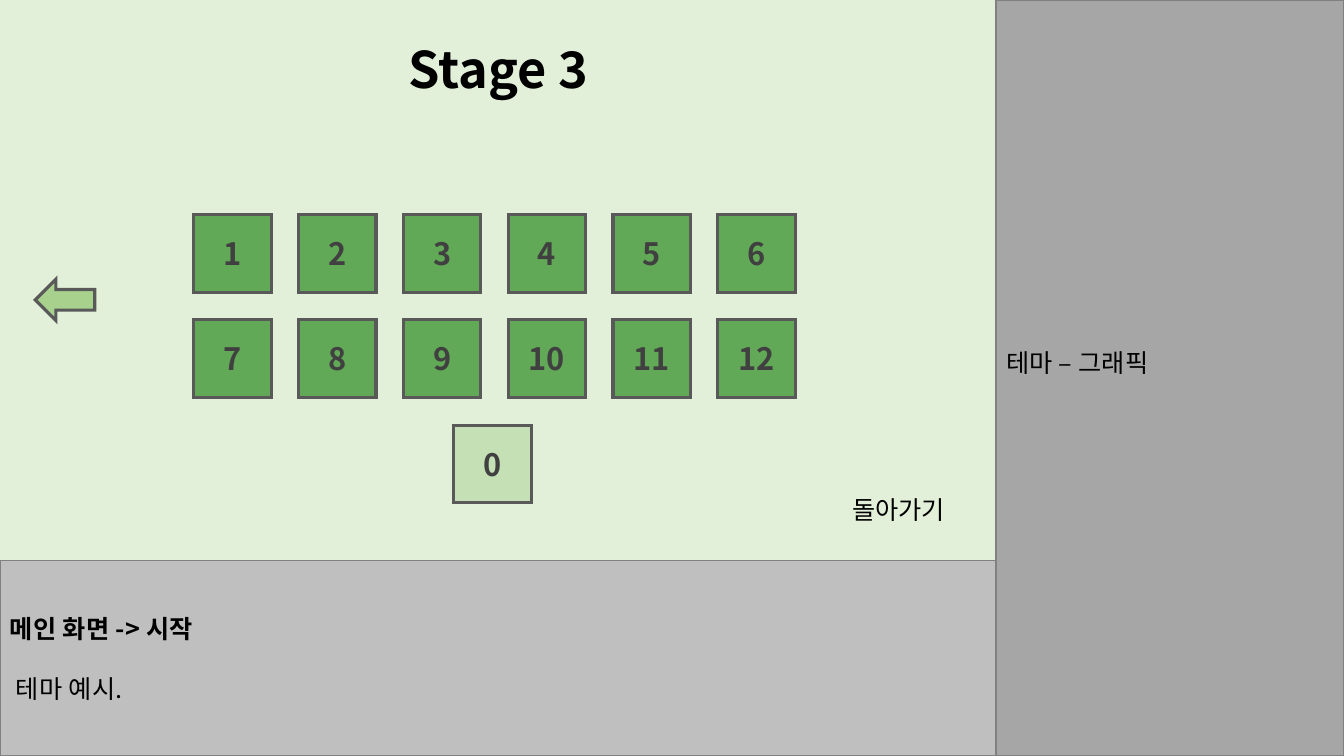
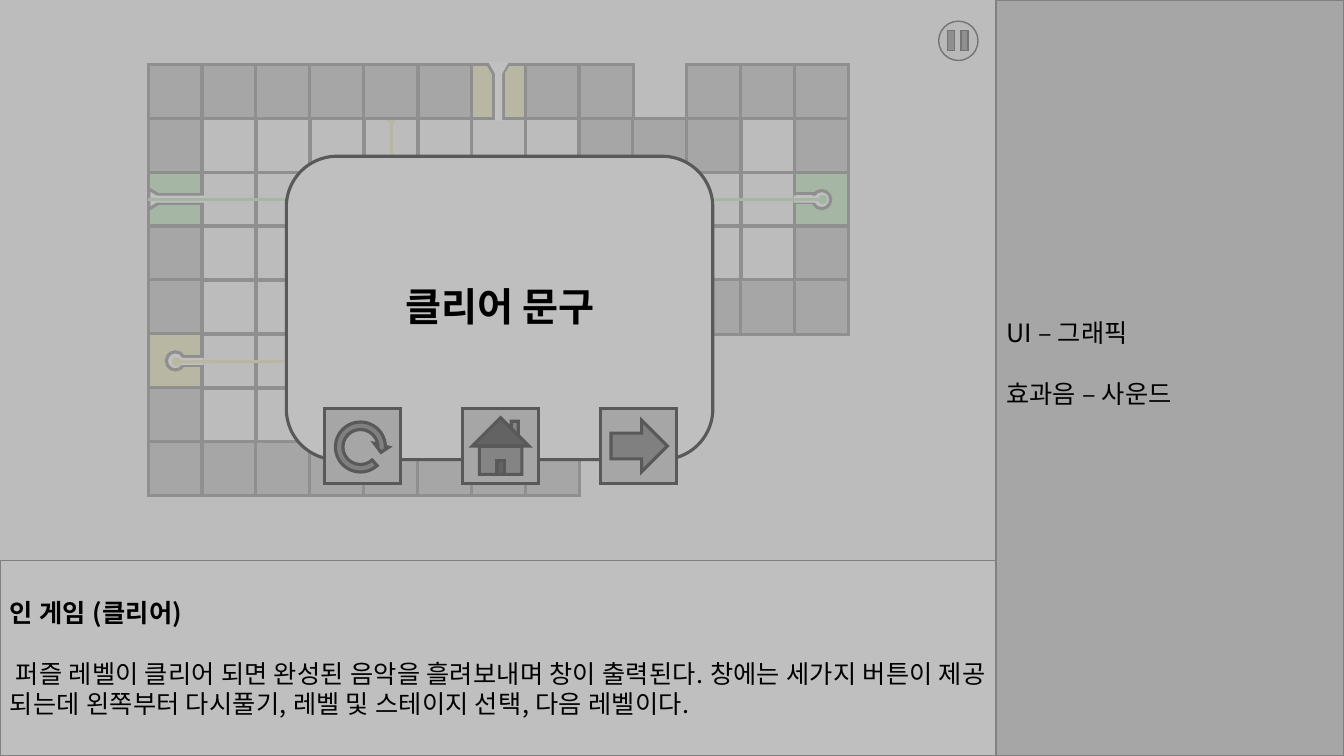
from pptx import Presentation, util as u
from pptx.dml.color import RGBColor
from pptx.enum import shapes as es, text as et
from pptx.oxml import parse_xml
from pptx.oxml.ns import nsdecls, qn
from lxml import etree


class Theme:
    """Colours, type sizes and line widths."""
    font = "Noto Sans CJK KR"
    black, ink, edge, rim = "000000", "404040", "595959", "808080"
    white, pale, mint = "FFFFFF", "F2F2F2", "E2F0D9"
    wall, note, knob = "A6A6A6", "BFBFBF", "E7E6E6"
    leaf, lime, arrow = "61A957", "C5E0B4", "A9D18E"
    gold, green = "E2E29E", "A6DEA2"
    body, num, head, title = 18, 22, 28, 36
    thin, bold = 1, 2.25
    gap, track = 21.5, 0.2


T = Theme
K = es.MSO_SHAPE
MID = et.PP_ALIGN.CENTER

# Content
STAGE = dict(
    title="Stage 3", back="돌아가기", zero="0",
    side=["테마 – 그래픽"],
    notes=["메인 화면 -> 시작", " 테마 예시."])
CLEAR = dict(
    title="클리어 문구",
    side=["UI – 그래픽", "효과음 – 사운드"],
    notes=["인 게임 (클리어)",
           " 퍼즐 레벨이 클리어 되면 완성된 음악을 흘려보내며 창이 출력된다. "
           "창에는 세가지 버튼이 제공 되는데 왼쪽부터 다시풀기, "
           "레벨 및 스테이지 선택, 다음 레벨이다."])

# Puzzle: # wall, o open, y gold end, g green end, c wall over a beam end
MAZE = ["####c#y##.###",
        "#ooooooo###o#",
        "goo.......oog",
        "#oo.......oo#",
        "#oo.......###",
        "yoo..........",
        "#oo..........",
        "########....."]
TILE = {"#": T.wall, "o": None, "y": T.gold, "g": T.green}
CAP = {"c": T.wall}

# Channels cut into the end cells: kind, place, edge, turn
CUTS = [
    (K.RECTANGLE, (1.8, 3.54, 0.21, 0.09), T.edge, 0),
    (K.OVAL, (1.65, 3.49, 0.18, 0.18), T.edge, 0),
    (K.RECTANGLE, (1.8, 3.55, 0.22, 0.07), None, 0),
    (K.RECTANGLE, (4.9, 0.74, 0.09, 0.43), T.edge, 0),
    (K.ISOSCELES_TRIANGLE, (4.84, 0.64, 0.2, 0.17), T.edge, 180),
    (K.RECTANGLE, (4.91, 0.69, 0.07, 0.51), None, 0),
    (K.ISOSCELES_TRIANGLE, (4.84, 0.61, 0.21, 0.18), None, 180),
    (K.RECTANGLE, (7.88, 1.92, 0.21, 0.09), T.edge, 0),
    (K.OVAL, (8.06, 1.89, 0.18, 0.18), T.edge, 0),
    (K.RECTANGLE, (7.87, 1.94, 0.22, 0.07), None, 0),
    (K.ISOSCELES_TRIANGLE, (1.46, 1.89, 0.2, 0.17), T.edge, 90),
    (K.RECTANGLE, (1.57, 1.93, 0.43, 0.09), T.edge, 0),
    (K.RECTANGLE, (1.55, 1.94, 0.49, 0.07), None, 0)]
# Beams: start, end, colour, ends with a dot
BEAMS = [((1.75, 3.59), (3.88, 3.58), T.gold, ("headEnd", "tailEnd")),
         ((3.88, 3.58), (3.88, 1.18), T.gold, ("headEnd", "tailEnd")),
         ((8.16, 1.98), (1.47, 1.98), T.green, ("headEnd",))]

WIDE, HIGH = 13.33, 7.5
SPLIT, FLOOR = 9.88, 5.56
VIEW = (0, 0, SPLIT, FLOOR)


def inch(vals):
    """Turn numbers into lengths."""
    return [u.Inches(v) for v in vals]


def rgb(hue):
    """Turn a hex string into a colour."""
    return RGBColor.from_string(hue)


def draw(on, kind, at, fill=None, line=None, wt=T.bold, rot=0, alpha=None):
    """Add a preset shape with flat fill and sharp-cornered line."""
    s = on.add_shape(kind, *inch(at))
    s.shadow.inherit = False
    s.rotation = rot
    if fill:
        s.fill.solid()
        s.fill.fore_color.rgb = rgb(fill)
    else:
        s.fill.background()
    if alpha:
        clr = s.fill._xPr.find(qn("a:solidFill"))[0]
        etree.SubElement(clr, qn("a:alpha"), val=str(alpha * 1000))
    if line:
        s.line.color.rgb = rgb(line)
        s.line.width = u.Pt(wt)
        etree.SubElement(s.line._get_or_add_ln(), qn("a:miter"), lim="800000")
    else:
        s.line.fill.background()
    return s


def write(s, lines, size=T.body, hue=T.black, bold=False, lead=False,
          align=et.PP_ALIGN.LEFT, track=0):
    """Fill a shape with paragraphs; lead makes the first one bold."""
    tf = s.text_frame
    for i, words in enumerate(lines):
        p = tf.add_paragraph() if i else tf.paragraphs[0]
        p.alignment = align
        if i:
            p.space_before = u.Pt(T.gap)
        r = p.add_run()
        r.text = words
        f = r.font
        f.size, f.name, f.color.rgb = u.Pt(size), T.font, rgb(hue)
        f.bold = bold or (lead and i == 0)
        props = r._r.get_or_add_rPr()
        if track:
            props.set("spc", str(round(track * 100)))
        etree.SubElement(props, qn("a:ea"), typeface=T.font)
    return tf


def label(on, at, words, wrap=False, **fmt):
    """Add a text box that grows with its text."""
    s = on.add_textbox(*inch(at))
    tf = write(s, [words], **fmt)
    tf.word_wrap = wrap
    tf.auto_size = et.MSO_AUTO_SIZE.SHAPE_TO_FIT_TEXT


def beam(on, start, end, hue, dots):
    """Add a straight line with round ends."""
    c = on.add_connector(es.MSO_CONNECTOR.STRAIGHT, *inch(start + end))
    c.line.color.rgb = rgb(hue)
    c.line.width = u.Pt(T.bold)
    for tag in dots:
        etree.SubElement(c.line._get_or_add_ln(), qn("a:" + tag), type="oval")
    c._element.spPr.append(parse_xml("<a:effectLst %s/>" % nsdecls("a")))


def panels(on, data):
    """Add the side panel and the notes panel."""
    side = draw(on, K.RECTANGLE, (SPLIT, 0, WIDE - SPLIT, HIGH),
                T.wall, T.rim, T.thin)
    tf = write(side, data["side"], track=T.track)
    tf.margin_bottom = u.Inches(0.35)
    foot = draw(on, K.RECTANGLE, (0, FLOOR, SPLIT, HIGH - FLOOR),
                T.note, T.rim, T.thin)
    write(foot, data["notes"], lead=True, track=T.track)


def key(on, x, y, words, fill):
    """Add a numbered level button."""
    s = draw(on, K.RECTANGLE, (x, y, 0.77, 0.77), fill, T.edge)
    write(s, [words], size=T.num, hue=T.ink, bold=True, align=MID)


def stage(on, data):
    """Build the level choice screen."""
    draw(on, K.RECTANGLE, VIEW, T.mint)
    panels(on, data)
    label(on, (8.26, 4.86, 1.21, 0.4), data["back"],
          align=et.PP_ALIGN.RIGHT)
    label(on, (3.44, 0.33, 3, 0.71), data["title"], wrap=True,
          size=T.title, bold=True, align=MID)
    for n in range(12):
        row, col = divmod(n, 6)
        key(on, 1.92 + 1.04 * col, 2.13 + 1.04 * row, str(n + 1), T.leaf)
    key(on, 4.5, 4.22, data["zero"], T.lime)
    draw(on, K.LEFT_ARROW, (0.35, 2.77, 0.59, 0.41), T.arrow, T.edge)


def pause(on):
    """Add the pause button."""
    draw(on, K.OVAL, (9.31, 0.21, 0.39, 0.39), T.knob, T.black, T.thin)
    for x in (9.4, 9.53):
        draw(on, K.RECTANGLE, (x, 0.3, 0.07, 0.2), T.edge, T.black, T.thin)


def cells(on, hues):
    """Add the board cells whose mark has an entry in hues."""
    step = 6.41 / 12
    for r, row in enumerate(MAZE):
        for c, mark in enumerate(row):
            if mark in hues:
                at = (1.47 + step * c, 0.64 + step * r, 0.54, 0.54)
                draw(on, K.RECTANGLE, at, hues[mark], T.edge)


def maze(on):
    """Add the puzzle board with its channels and beams."""
    cells(on, TILE)
    for kind, at, line, rot in CUTS:
        draw(on, kind, at, T.white, line, rot=rot)
    for part in BEAMS:
        beam(on, *part)
    cells(on, CAP)


def popup(on, words):
    """Add the clear window with its three buttons."""
    draw(on, K.ROUNDED_RECTANGLE, (2.84, 1.55, 4.23, 3.01), T.note, T.edge)
    label(on, (3.81, 2.75, 2.3, 0.57), words,
          size=T.head, bold=True, align=MID)
    kinds = (K.RECTANGLE, K.ACTION_BUTTON_HOME, K.RECTANGLE)
    for i, kind in enumerate(kinds):
        at = (3.22 + 1.37 * i, 4.05, 0.75, 0.75)
        draw(on, kind, at, T.wall, T.edge)
    draw(on, K.RIGHT_ARROW, (6.06, 4.17, 0.56, 0.51), T.rim, T.edge)
    redo = draw(on, K.CIRCULAR_ARROW, (3.29, 4.15, 0.57, 0.57),
                T.rim, T.edge)
    for i, v in enumerate((0.13, 11.42, 213.28, 28.82, 0.13)):
        redo.adjustments[i] = v


def clear(on, data):
    """Build the cleared level screen."""
    draw(on, K.RECTANGLE, VIEW, T.pale)
    pause(on.add_group_shape().shapes)
    maze(on.add_group_shape().shapes)
    draw(on, K.RECTANGLE, VIEW, T.wall, alpha=70)
    panels(on, data)
    popup(on.add_group_shape().shapes, data["title"])


prs = Presentation()
prs.slide_width, prs.slide_height = inch((WIDE, HIGH))
for build, data in ((stage, STAGE), (clear, CLEAR)):
    build(prs.slides.add_slide(prs.slide_layouts[6]).shapes, data)
prs.save("out.pptx")
